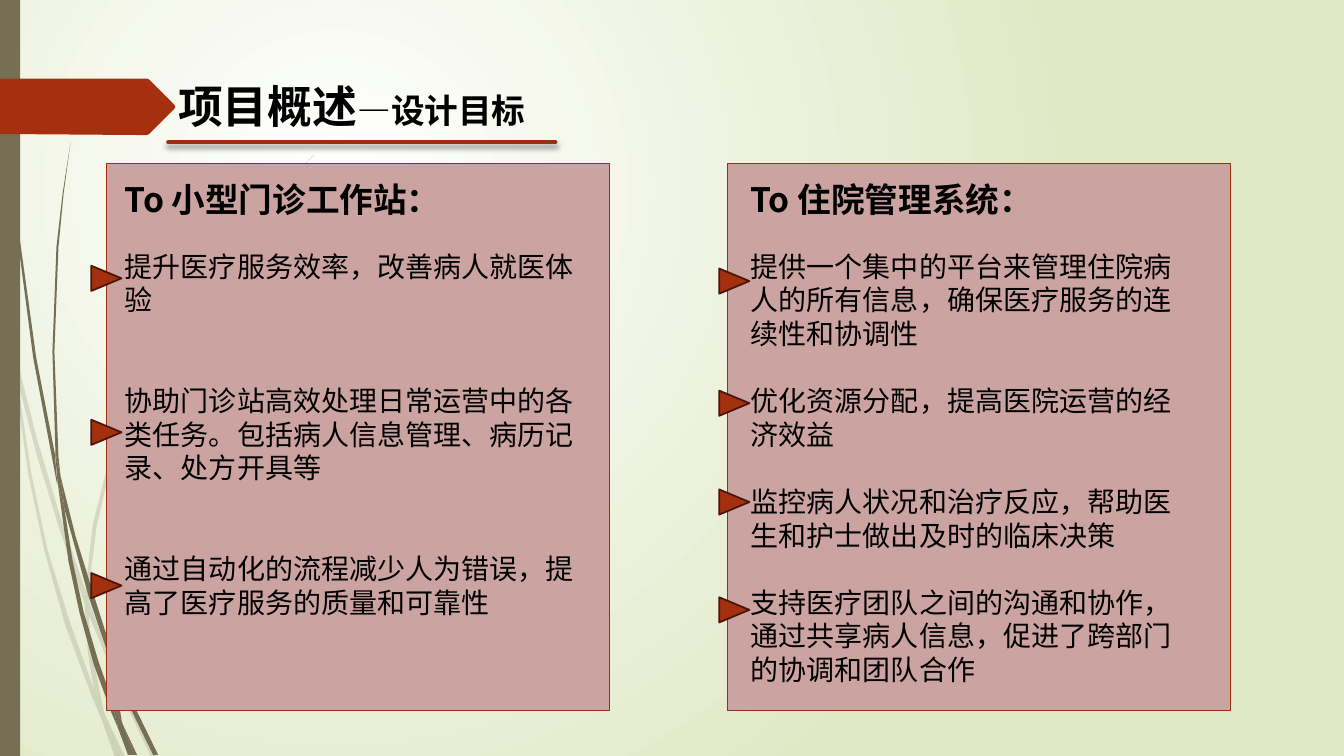
import pptx
import pptx.util
import pptx.dml.color
import pptx.enum.shapes
import pptx.enum.text
import pptx.oxml
import pptx.oxml.ns

Pt = pptx.util.Pt
SHAPES = pptx.enum.shapes.MSO_SHAPE
qn = pptx.oxml.ns.qn
GRID = Pt(0.72)  # unit of the outline points below

RED, EARTH, ROSE, DARK_RED, MAROON = "A53010", "766F54", "CBA3A0", "9E2E0F", "481507"

FAINT_STEMS = [
    [(11, 350), (9, 322), (0, 282), (0, 299), (10, 344)],
    [(58, 522), (84, 599), (85, 586), (62, 520), (36, 433), (14, 345), (17, 376), (36, 450)],
    [(92, 607), (88, 596), (88, 610), (123, 694), (150, 751), (155, 751), (127, 692)],
    [(119, 751), (124, 751), (105, 711)],
    [(93, 683), (70, 619), (47, 545), (31, 469), (17, 376), (11, 350), (28, 470),
     (44, 546), (65, 621), (92, 693), (101, 714), (99, 707)],
    [(84, 599), (87, 646), (93, 683), (96, 692), (105, 711), (103, 706), (91, 646),
     (88, 610), (88, 608)],
    [(88, 584), (96, 522), (110, 462), (132, 405), (160, 349), (192, 296), (229, 245),
     (268, 198), (290, 175), (312, 154), (312, 153), (289, 175), (268, 197), (228, 244),
     (191, 294), (158, 348), (130, 403), (107, 461), (92, 521), (85, 584), (85, 586), (88, 596)],
    [(101, 714), (114, 751), (119, 751)],
    [(88, 608), (88, 610), (88, 596), (85, 586), (84, 599)],
    [(96, 692), (93, 683), (99, 707), (101, 714), (119, 751), (105, 711)],
]
SOLID_STEMS = [
    [(7, 110), (17, 233), (33, 355), (56, 477), (57, 481), (55, 457), (55, 453), (36, 355),
     (19, 232), (8, 109), (5, 48), (4, 0), (3, 0), (4, 48)],
    [(88, 592), (106, 645), (106, 633), (106, 631), (93, 590), (75, 532), (60, 472), (64, 505)],
    [(113, 649), (110, 641), (111, 656), (132, 708), (152, 749), (157, 749), (136, 706)],
    [(110, 691), (98, 657), (83, 607), (72, 556), (64, 505), (57, 477), (68, 557),
     (79, 608), (93, 659), (111, 708), (117, 722), (116, 717)],
    [(60, 472), (58, 453), (54, 349), (58, 245), (63, 193), (70, 141), (62, 193),
     (56, 245), (52, 349), (55, 449), (60, 472)],
    [(133, 749), (136, 749), (122, 719)],
    [(57, 477), (64, 505), (60, 472), (55, 449), (55, 453)],
    [(111, 633), (115, 592), (125, 552), (140, 513), (158, 476), (180, 440), (205, 406),
     (231, 374), (245, 359), (261, 344), (260, 344), (245, 358), (231, 373), (204, 405),
     (179, 439), (156, 474), (137, 512), (122, 551), (111, 591), (106, 631), (110, 641)],
    [(117, 722), (127, 749), (131, 749)],
    [(106, 645), (110, 691), (116, 706), (122, 719), (121, 716), (111, 656), (109, 651)],
    [(106, 645), (109, 651), (111, 656), (110, 641), (106, 631), (106, 633)],
    [(116, 706), (110, 691), (116, 717), (117, 722), (130, 749), (133, 749), (122, 719)],
]
BANNER = [(0, 78), (146, 78), (148, 79), (173, 104), (174, 106), (173, 108),
          (148, 133), (146, 134), (136, 134), (0, 133)]


def color(value):
    return pptx.dml.color.RGBColor.from_string(value)


class Page:
    fonts = {
        "title": {"name": "League Spartan", "size": Pt(32), "bold": True},
        "subtitle": {"name": "League Spartan", "size": Pt(24), "bold": True},
        "heading": {"name": "Noto Sans CJK SC", "size": Pt(24), "bold": True},
        "body": {"name": "Times New Roman", "size": Pt(20), "bold": False},
    }
    east_asian = "Noto Sans CJK SC"
    leading = 1.2

    def __init__(self, deck):
        self.page = deck.slides.add_slide(deck.slide_layouts[6])
        self.shapes = self.page.shapes

    def radial_background(self, center, edge):
        fill = self.page.background.fill
        fill.gradient()
        for stop, value in zip(fill.gradient_stops, (center, edge)):
            stop.color.rgb = color(value)
        gradient = next(self.page.element.iter(qn("a:gradFill")))
        gradient.replace(gradient.find(qn("a:lin")), pptx.oxml.parse_xml(
            f'<a:path {pptx.oxml.ns.nsdecls("a")} path="circle">'
            '<a:fillToRect l="50000" t="50000" r="100000" b="100000"/></a:path>'))

    def paint(self, shape, fill, line=None, width=0):
        shape.shadow.inherit = False
        shape.fill.solid()
        shape.fill.fore_color.rgb = color(fill)
        if line:
            shape.line.color.rgb = color(line)
            shape.line.width = Pt(width)
        else:
            shape.line.fill.background()
        return shape

    def outline(self, points, fill, shapes=None):
        builder = (shapes or self.shapes).build_freeform(*points[0], scale=GRID)
        builder.add_line_segments(points[1:], close=True)
        return self.paint(builder.convert_to_shape(), fill)

    def stems(self, outlines, opacity=100):
        group = self.shapes.add_group_shape()
        for points in outlines:
            stem = self.outline(points, EARTH, group.shapes)
            if opacity < 100:
                tint = next(stem.element.iter(qn("a:srgbClr")))
                tint.append(pptx.oxml.parse_xml(
                    f'<a:alpha {pptx.oxml.ns.nsdecls("a")} val="{opacity * 1000}"/>'))

    def shape(self, kind, frame, *style):
        return self.paint(self.shapes.add_shape(kind, *map(Pt, frame)), *style)

    def marker(self, left, top):
        self.shape(SHAPES.ISOSCELES_TRIANGLE, (left, top, 18, 21.6),
                   RED, MAROON, 1.25).rotation = 90

    def underline(self, left, right, top):
        line = self.shapes.add_connector(
            pptx.enum.shapes.MSO_CONNECTOR.STRAIGHT, *map(Pt, (left, top, right, top)))
        line.line.color.rgb = color(DARK_RED)
        line.line.width = Pt(3)
        line.line._get_or_add_ln().set("cap", "rnd")
        line.element.spPr.append(pptx.oxml.parse_xml(
            f'<a:effectLst {pptx.oxml.ns.nsdecls("a")}>'
            f'<a:outerShdw blurRad="{Pt(4)}" dist="{Pt(3)}" dir="5400000">'
            '<a:srgbClr val="000000"><a:alpha val="40000"/></a:srgbClr>'
            '</a:outerShdw></a:effectLst>'))

    def text(self, frame, paragraphs):
        """Each paragraph is (space before, [(style, words), ...])."""
        box = self.shapes.add_textbox(*map(Pt, frame)).text_frame
        box.word_wrap = True
        box.auto_size = pptx.enum.text.MSO_AUTO_SIZE.SHAPE_TO_FIT_TEXT
        for index, (gap, spans) in enumerate(paragraphs):
            para = box.add_paragraph() if index else box.paragraphs[0]
            para.line_spacing = Pt(self.fonts[spans[0][0]]["size"].pt * self.leading)
            if gap:
                para.space_before = Pt(gap)
            for style, words in spans:
                span = para.add_run()
                span.text = words
                for key, value in self.fonts[style].items():
                    setattr(span.font, key, value)
                span.font.color.rgb = color("000000")
                span.font._element.append(pptx.oxml.parse_xml(
                    f'<a:ea {pptx.oxml.ns.nsdecls("a")} typeface="{self.east_asian}"/>'))

    def goals(self, frame, heading, items, gap):
        paragraphs = [(0, [("heading", heading)])]
        for index, item in enumerate(items):
            paragraphs.append((gap if index else 21.6, [("body", item)]))
        self.text(frame, paragraphs)


def main():
    deck = pptx.Presentation()
    deck.slide_width, deck.slide_height = Pt(960), Pt(540)
    page = Page(deck)
    page.radial_background("FFFFFF", "DFE8C4")
    page.stems(FAINT_STEMS, opacity=20)
    page.stems(SOLID_STEMS)
    page.shape(SHAPES.RECTANGLE, (0, 0, 14.4, 540), EARTH)
    page.outline(BANNER, RED)

    page.text((120.2, 53, 359, 46), [(0, [("title", "项目概述"), ("subtitle", "—设计目标")])])
    page.underline(120.2, 396.7, 101.5)
    for left in (76.3, 519.8):
        page.shape(SHAPES.RECTANGLE, (left, 116.6, 359.3, 391), ROSE, DARK_RED, 0.75)

    page.goals((82.1, 124, 342, 324.7), "To 小型门诊工作站：", [
        "提升医疗服务效率，改善病人就医体验",
        "协助门诊站高效处理日常运营中的各类任务。包括病人信息管理、病历记录、处方开具等",
        "通过自动化的流程减少人为错误，提高了医疗服务的质量和可靠性",
    ], gap=48)
    page.goals((529.2, 124, 329.8, 373), "To 住院管理系统：", [
        "提供一个集中的平台来管理住院病人的所有信息，确保医疗服务的连续性和协调性",
        "优化资源分配，提高医院运营的经济效益",
        "监控病人状况和治疗反应，帮助医生和护士做出及时的临床决策",
        "支持医疗团队之间的沟通和协作，通过共享病人信息，促进了跨部门的协调和团队合作",
    ], gap=24)
    for left, tops in ((67, (188, 298, 407.5)), (515.5, (190, 277.2, 347.8, 424.8))):
        for top in tops:
            page.marker(left, top)
    deck.save("out.pptx")


if __name__ == "__main__":
    main()
